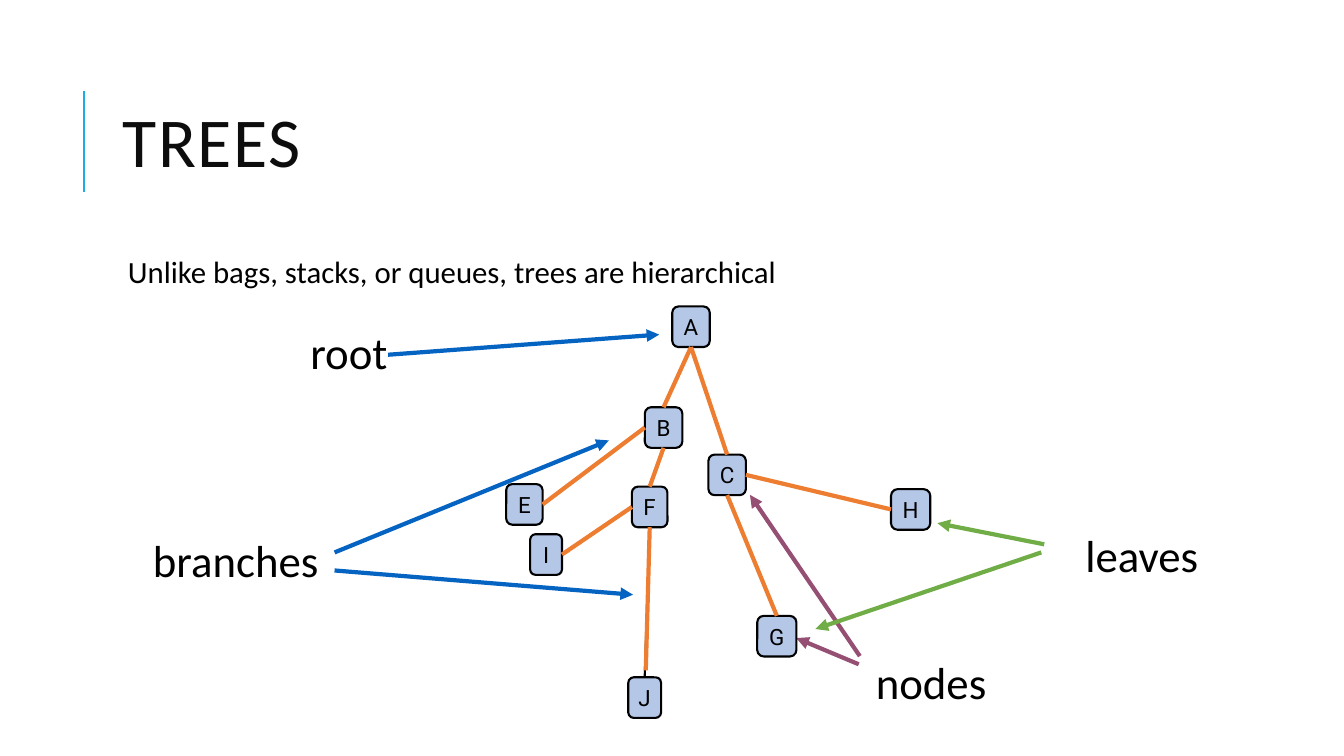
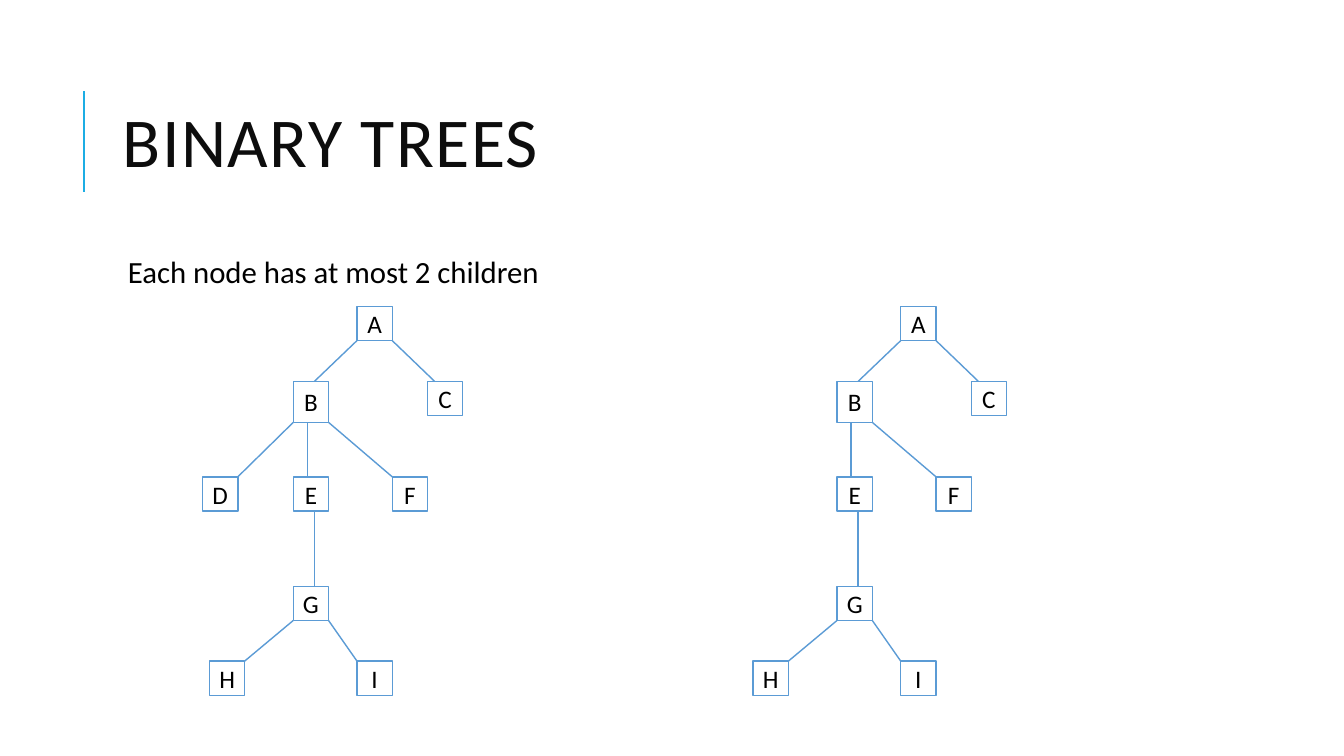
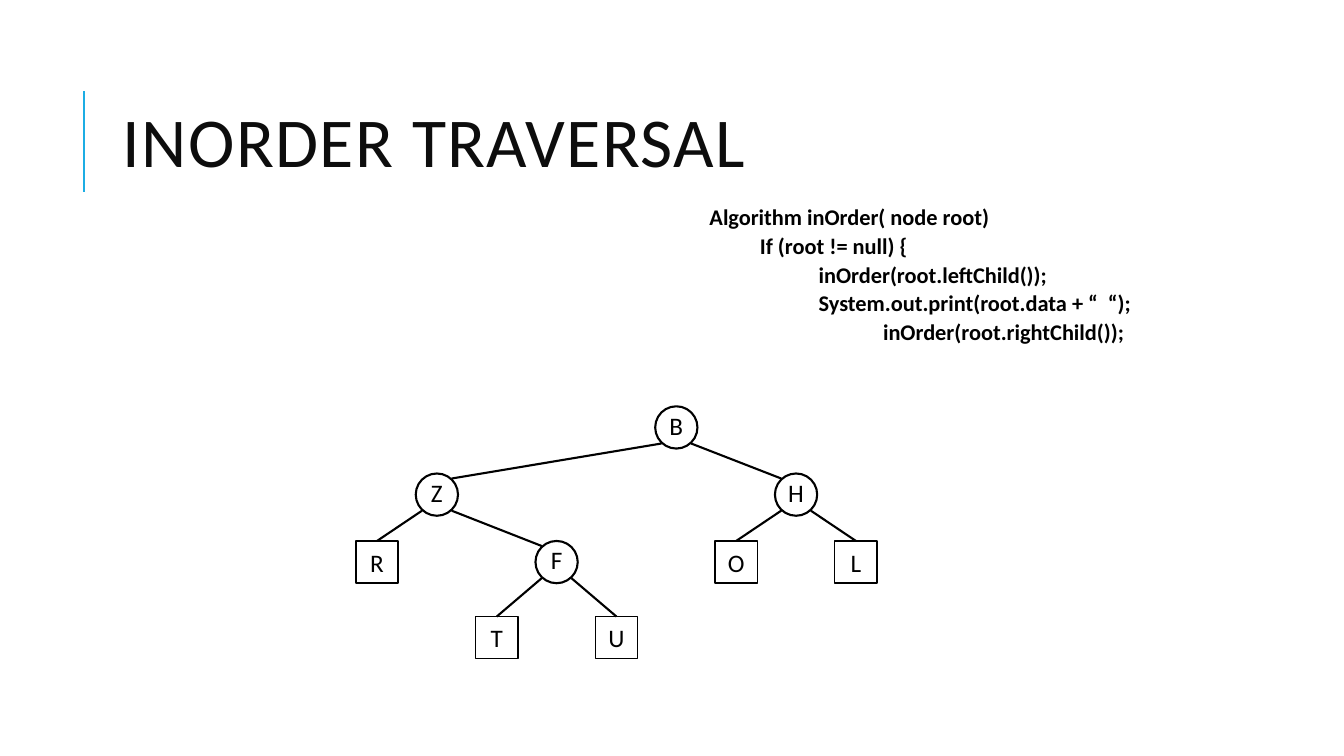
import dataclasses

import lxml.etree
import pptx
import pptx.dml.color
import pptx.enum.shapes
import pptx.enum.text
import pptx.oxml.ns
import pptx.util

Pt = pptx.util.Pt
SHAPE = pptx.enum.shapes.MSO_SHAPE
ALIGN = pptx.enum.text.PP_ALIGN
ANCHOR = pptx.enum.text.MSO_ANCHOR
qn = pptx.oxml.ns.qn


@dataclasses.dataclass(frozen=True)
class Theme:
    font: str = "Calibri"
    node_font: str = "Roboto"
    title: str = "0D0D0D"
    ink: str = "000000"
    paper: str = "FFFFFF"
    accent: str = "1CADE4"
    node_fill: str = "B4C7E7"
    branch: str = "ED7D31"
    blue: str = "0563C1"
    purple: str = "954F72"
    green: str = "70AD47"
    box_line: str = "5B9BD5"
    title_size: float = 50
    label_size: float = 32
    body_size: float = 22
    letter_size: float = 18
    small_size: float = 16


THEME = Theme()


@dataclasses.dataclass(frozen=True)
class NodeStyle:
    fill: str
    line: str
    weight: float
    font: str
    size: float


ROUNDED = NodeStyle(THEME.node_fill, THEME.ink, 1.5, THEME.node_font, THEME.small_size)
BLUE_BOX = NodeStyle(THEME.paper, THEME.box_line, 1, THEME.font, THEME.letter_size)
CIRCLE = NodeStyle(THEME.paper, THEME.ink, 1.5, THEME.font, THEME.letter_size)
SQUARE = NodeStyle(THEME.paper, THEME.ink, 1, THEME.font, THEME.letter_size)

# Points on a node, as shares of its width and height
TOP, LEFT, RIGHT, BOTTOM = (0.5, 0), (0, 0.5), (1, 0.5), (0.5, 1)
TOP_LEFT, TOP_RIGHT, BOTTOM_LEFT, BOTTOM_RIGHT = (0, 0), (1, 0), (0, 1), (1, 1)


def rgb(value):
    return pptx.dml.color.RGBColor.from_string(value)


def add_span(para, text, size, color=THEME.ink, font=THEME.font, bold=False):
    span = para.add_run()
    span.text = text
    span.font.name = font
    span.font.size = Pt(size)
    span.font.bold = bold
    span.font.color.rgb = rgb(color)
    return span


def set_margins(frame, left, top, right, bottom):
    frame.margin_left, frame.margin_top = Pt(left), Pt(top)
    frame.margin_right, frame.margin_bottom = Pt(right), Pt(bottom)


def add_line(page, start, end, color, weight, arrow=False):
    """Draw a straight line; an arrow points at its end."""
    line = page.shapes.add_connector(
        pptx.enum.shapes.MSO_CONNECTOR.STRAIGHT,
        *(Pt(value) for value in (*start, *end)))
    line.line.color.rgb = rgb(color)
    line.line.width = Pt(weight)
    properties = line.element.spPr
    if arrow:
        lxml.etree.SubElement(
            properties.get_or_add_ln(), qn("a:tailEnd"), type="triangle")
    lxml.etree.SubElement(properties, qn("a:effectLst"))
    return line


def add_text_box(page, left, top, width, height):
    box = page.shapes.add_textbox(Pt(left), Pt(top), Pt(width), Pt(height))
    box.text_frame.word_wrap = True
    return box.text_frame


def add_label(page, text, left, top, width):
    frame = add_text_box(page, left, top, width, 46)
    add_span(frame.paragraphs[0], text, THEME.label_size)


def add_statement(page, text):
    frame = add_text_box(page, 80.6, 180, 765.4, 316.8)
    set_margins(frame, 10.8, 3.6, 3.6, 3.6)
    para = frame.paragraphs[0]
    para.line_spacing = 0.9
    add_span(para, text, THEME.body_size)


def add_node(page, letter, bounds, shape, style, lift=0):
    """Draw a lettered tree node; lift raises its letter."""
    node = page.shapes.add_shape(shape, *(Pt(value) for value in bounds))
    node.shadow.inherit = False
    node.fill.solid()
    node.fill.fore_color.rgb = rgb(style.fill)
    node.line.color.rgb = rgb(style.line)
    node.line.width = Pt(style.weight)
    frame = node.text_frame
    frame.word_wrap = False
    frame.vertical_anchor = ANCHOR.MIDDLE
    set_margins(frame, 0, 0, 0, lift)
    para = frame.paragraphs[0]
    para.alignment = ALIGN.CENTER
    add_span(para, letter, style.size, font=style.font)


def point_on(bounds, share):
    left, top, width, height = bounds
    return left + share[0] * width, top + share[1] * height


def add_edges(page, nodes, edges, color, weight):
    for parent, parent_share, child, child_share in edges:
        if parent in nodes and child in nodes:
            add_line(page, point_on(nodes[parent], parent_share),
                     point_on(nodes[child], child_share), color, weight)


def add_page(deck, title):
    page = deck.slides.add_slide(deck.slide_layouts[5])
    holder = page.shapes.title
    holder.left, holder.top = Pt(80.6), Pt(46)
    holder.width, holder.height = Pt(765.4), Pt(118)
    frame = holder.text_frame
    frame.word_wrap = True
    frame.vertical_anchor = ANCHOR.MIDDLE
    para = frame.paragraphs[0]
    para.alignment = ALIGN.LEFT
    para.line_spacing = 0.8
    span = add_span(para, title, THEME.title_size, THEME.title)
    span.font.element.set("spc", "100") if hasattr(span.font, "element") else \
        span.font._element.set("spc", "100")
    return page


def add_layout_rule(page):
    """Put the accent rule on the layout that all pages share."""
    rule = add_line(page, (60, 136.8), (60, 64.8), THEME.accent, 1.5)
    rule.element.nvCxnSpPr.cNvPr.id = 100
    page.slide_layout.shapes.element.append(rule.element)


def build_trees(deck):
    page = add_page(deck, "TREES")
    add_layout_rule(page)
    add_statement(page, "Unlike bags, stacks, or queues, trees are hierarchical")
    for label in (("branches", 102.2, 376.6, 150), ("leaves", 768.2, 373.7, 108),
                  ("root", 214.6, 228.2, 78), ("nodes", 618.5, 464.4, 132)):
        add_label(page, *label)
    for start, end, color in (
            ((277.2, 253.4), (470.9, 239), THEME.blue),
            ((239, 394.6), (434.9, 314.6), THEME.blue),
            ((239, 407.5), (452.2, 424.8), THEME.blue),
            ((614.2, 468.7), (535.7, 353.5), THEME.purple),
            ((613.4, 474.5), (568.8, 455.8), THEME.purple),
            ((745.9, 388.8), (669.6, 373.7), THEME.green),
            ((743.8, 394.6), (582.5, 449.3), THEME.green)):
        add_line(page, start, end, color, 3, arrow=True)

    nodes = {letter: (left, top, width, 29) for letter, left, top, width in (
        ("A", 480.2, 218.9, 26.8), ("B", 460.6, 290.9, 26.8),
        ("C", 506, 324.7, 26.8), ("G", 540.9, 439.9, 28),
        ("H", 636.5, 349.4, 28), ("E", 361.6, 345.8, 26),
        ("F", 451.4, 347.6, 25.4), ("I", 378.7, 381.6, 22.7),
        ("J", 448.8, 483.8, 23.4))}
    for letter, bounds in nodes.items():
        add_node(page, letter, bounds, SHAPE.ROUNDED_RECTANGLE, ROUNDED)
    add_edges(page, nodes, [("F", BOTTOM, "J", TOP)], THEME.ink, 1.5)
    add_edges(page, nodes, [
        ("A", BOTTOM, "B", TOP), ("A", BOTTOM, "C", TOP),
        ("C", RIGHT, "H", LEFT), ("C", BOTTOM, "G", TOP),
        ("B", BOTTOM, "F", TOP), ("B", LEFT, "E", RIGHT),
        ("F", LEFT, "I", RIGHT)], THEME.branch, 3)
    add_line(page, point_on(nodes["F"], BOTTOM), (461.3, 478.8), THEME.branch, 3)


def add_box_tree(page, shift, letters):
    corners = {
        "A": (255, 218.9), "B": (209.5, 272.4), "C": (305.4, 272.4),
        "D": (144.7, 340.6), "E": (209.5, 340.6), "F": (280.2, 340.6),
        "G": (209.5, 418.8), "H": (149.6, 472.2), "I": (255, 472.2)}
    nodes = {letter: (corners[letter][0] + shift, corners[letter][1], 25.2,
                      29.3 if letter == "B" else 24.4) for letter in letters}
    for letter, bounds in nodes.items():
        add_node(page, letter, bounds, SHAPE.RECTANGLE, BLUE_BOX)
    add_edges(page, nodes, [
        ("A", BOTTOM_LEFT, "B", (0.6, 0)), ("A", BOTTOM_RIGHT, "C", (0.2, 0)),
        ("B", BOTTOM_LEFT, "D", TOP_RIGHT), ("B", (0.4, 1), "E", (0.4, 0)),
        ("B", BOTTOM_RIGHT, "F", TOP_LEFT), ("E", (0.6, 1), "G", (0.6, 0)),
        ("G", BOTTOM_LEFT, "H", TOP_RIGHT), ("G", BOTTOM_RIGHT, "I", TOP_LEFT),
    ], THEME.box_line, 1)


def build_binary_trees(deck):
    page = add_page(deck, "BINARY TREES")
    add_statement(page, "Each node has at most 2 children")
    add_box_tree(page, 0, "ABCDEFGHI")
    add_box_tree(page, 388.4, "ABCEFGHI")


def add_code(page, lines):
    frame = add_text_box(page, 499.7, 144, 356.4, 129.6)
    for number, (indent, text) in enumerate(lines):
        para = frame.add_paragraph() if number else frame.paragraphs[0]
        para.line_spacing = 0.9
        para.space_before = Pt(3.2 if number else 0)
        para._p.get_or_add_pPr().set("marL", str(Pt(indent)))
        add_span(para, text, THEME.small_size, bold=True)


def build_inorder_traversal(deck):
    page = add_page(deck, "INORDER TRAVERSAL")
    rows = {290.2: "B", 338.2: "ZH", 386.4: "RFOL", 440.4: "TU"}
    visit_order, inner, size = "RZTFUBOHL", "BZFH", 30.2
    nodes = {letter: (254.2 + 42.76 * visit_order.index(letter), top, size, size)
             for top, letters in rows.items() for letter in letters}
    for letter, bounds in nodes.items():
        if letter in inner:
            add_node(page, letter, bounds, SHAPE.OVAL, CIRCLE, lift=3.6)
        else:
            add_node(page, letter, bounds, SHAPE.RECTANGLE, SQUARE)

    edges = []
    for parent, left_child, right_child in ("BZH", "ZRF", "HOL", "FTU"):
        for child, near, far in ((left_child, 0.15, 0.85), (right_child, 0.85, 0.15)):
            child_share = (far, 0.12) if child in inner else TOP
            edges.append((parent, (near, 0.88), child, child_share))
    add_edges(page, nodes, edges, THEME.ink, 1.5)
    add_code(page, [
        (0, "Algorithm inOrder( node root)"),
        (36, "If (root != null) {"),
        (78, "inOrder(root.leftChild());"),
        (78, "System.out.print(root.data + “  “);"),
        (124, "inOrder(root.rightChild());")])


def main():
    deck = pptx.Presentation()
    deck.slide_width, deck.slide_height = Pt(960), Pt(540)
    build_trees(deck)
    build_binary_trees(deck)
    build_inorder_traversal(deck)
    deck.save("out.pptx")


if __name__ == "__main__":
    main()
